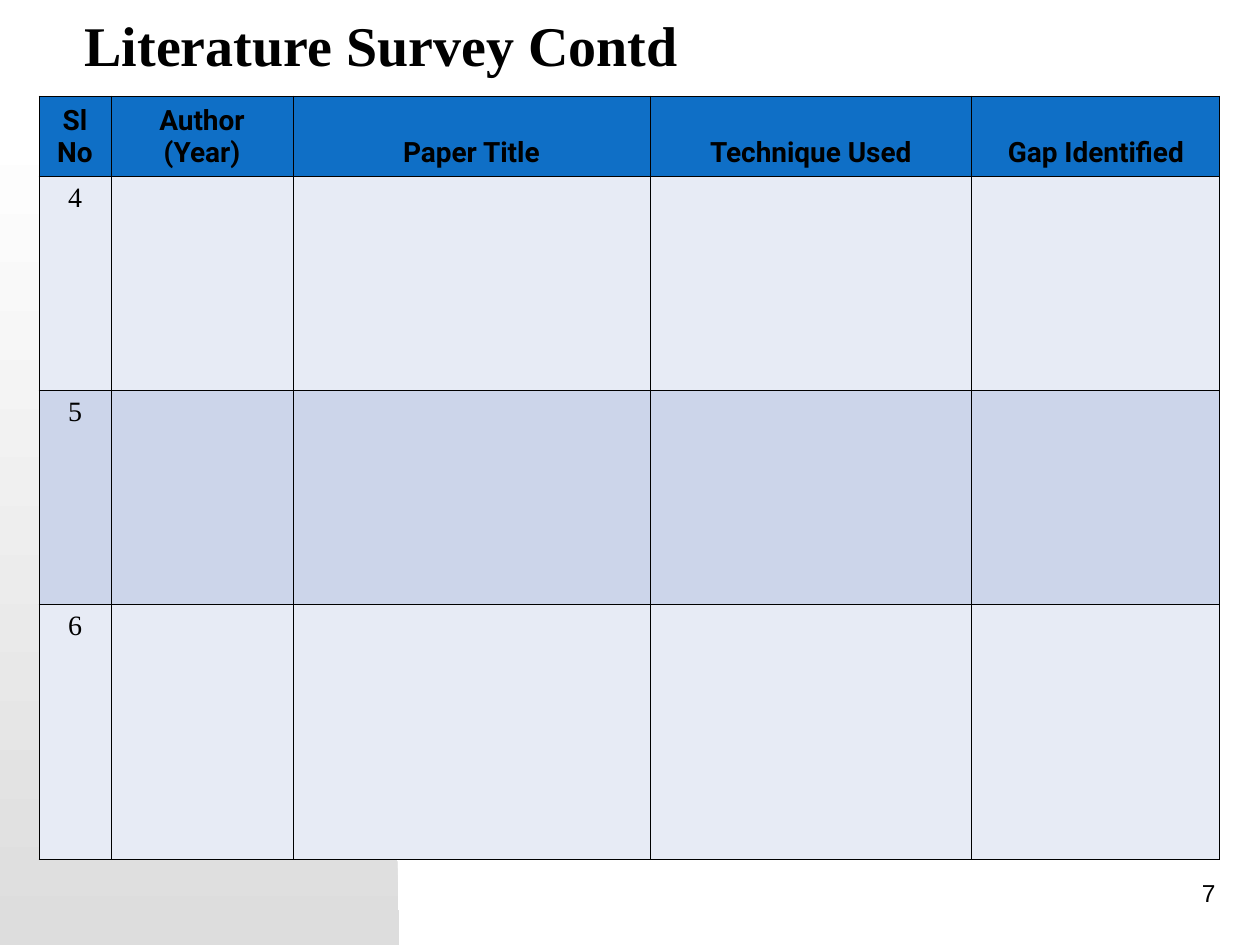
from lxml.etree import SubElement
from pptx import Presentation
from pptx.dml.color import RGBColor
from pptx.enum.text import MSO_ANCHOR as Anchor, PP_ALIGN as Align
from pptx.oxml.ns import qn
from pptx.util import Emu, Pt

# Content
TITLE = "Literature Survey Contd"
PAGE = "7"
HEADINGS = ["Sl No", "Author (Year)", "Paper Title", "Technique Used", "Gap Identified"]
PAPERS = [[number, "", "", "", ""] for number in ("4", "5", "6")]

# Layout in px, 126 to the inch
SCALE = 914400 // 126
COLUMNS = [72, 182, 357, 322, 248]
ROWS = [80, 214, 214, 256]
ARC_TOP, ARC_STEPS = 116, 48
ARC_CURVE = [(0, 116), (220, 116), (399, 488), (399, 945)]
COLORS = {"text": "000000", "header": "0F6FC6", "odd": "E7EBF5", "even": "CCD5EA",
          "border": "000000", "arc_top": "FFFFFF", "arc_bottom": "DDDDDD"}
SERIF = "Times New Roman"


def px(*lengths):
    return [Emu(length * SCALE) for length in lengths]


def color(key):
    return RGBColor.from_string(COLORS[key])


def style(paragraph, font_name, size, align, bold=False):
    paragraph.alignment = align
    for run in paragraph.runs:
        font = run.font
        font.name, font.size, font.bold = font_name, Pt(size), bold
        font.color.rgb = color("text")


def add_borders(cell):
    properties = cell._tc.get_or_add_tcPr()
    for side in ("a:lnL", "a:lnR", "a:lnT", "a:lnB"):
        line = SubElement(properties, qn(side), w=str(Pt(0.45)))
        fill = SubElement(line, qn("a:solidFill"))
        SubElement(fill, qn("a:srgbClr"), val=COLORS["border"])


def curve_point(t):
    weights = ((1 - t) ** 3, 3 * t * (1 - t) ** 2, 3 * t * t * (1 - t), t ** 3)
    return tuple(round(sum(w * point[axis] for w, point in zip(weights, ARC_CURVE)))
                 for axis in (0, 1))


deck = Presentation()
deck.slide_width, deck.slide_height = px(1260, 945)
slide = deck.slides.add_slide(deck.slide_layouts[5])
title = slide.shapes.title

# Shaded arc behind everything
outline = slide.shapes.build_freeform(0, ARC_TOP, scale=SCALE)
outline.add_line_segments([curve_point(i / ARC_STEPS) for i in range(1, ARC_STEPS + 1)]
                          + [(0, 945)])
arc = outline.convert_to_shape()
arc.shadow.inherit = False
arc.line.fill.background()
arc.fill.gradient()
arc.fill.gradient_angle = 270
for stop, key in zip(arc.fill.gradient_stops, ("arc_top", "arc_bottom")):
    stop.color.rgb = color(key)
title._element.addprevious(arc._element)

# Title
title.left, title.top, title.width, title.height = px(72, 0, 1218, 105)
title.text_frame.text = TITLE
title.text_frame.vertical_anchor = Anchor.MIDDLE
heading = title.text_frame.paragraphs[0]
heading.line_spacing = 0.7
style(heading, SERIF, 32, Align.LEFT, bold=True)

# Page number
page = slide.shapes.add_textbox(*px(966, 861, 262, 63)).text_frame
page.text = PAGE
page.word_wrap = False
page.vertical_anchor = Anchor.MIDDLE
style(page.paragraphs[0], "Arial", 14, Align.RIGHT)

# Survey table
survey = slide.shapes.add_table(len(ROWS), len(COLUMNS),
                                *px(39, 96, sum(COLUMNS), sum(ROWS))).table
for column, width in zip(survey.columns, px(*COLUMNS)):
    column.width = width
for row, height in zip(survey.rows, px(*ROWS)):
    row.height = height
for r, texts in enumerate([HEADINGS] + PAPERS):
    is_header = r == 0
    band = "header" if is_header else "odd" if r % 2 else "even"
    for c, text in enumerate(texts):
        cell = survey.cell(r, c)
        cell.text = text
        cell.vertical_anchor = Anchor.BOTTOM if is_header else Anchor.TOP
        add_borders(cell)
        cell.fill.solid()
        cell.fill.fore_color.rgb = color(band)
        style(cell.text_frame.paragraphs[0], "Roboto" if is_header else SERIF, 16,
              Align.CENTER, bold=is_header)

deck.save("out.pptx")
